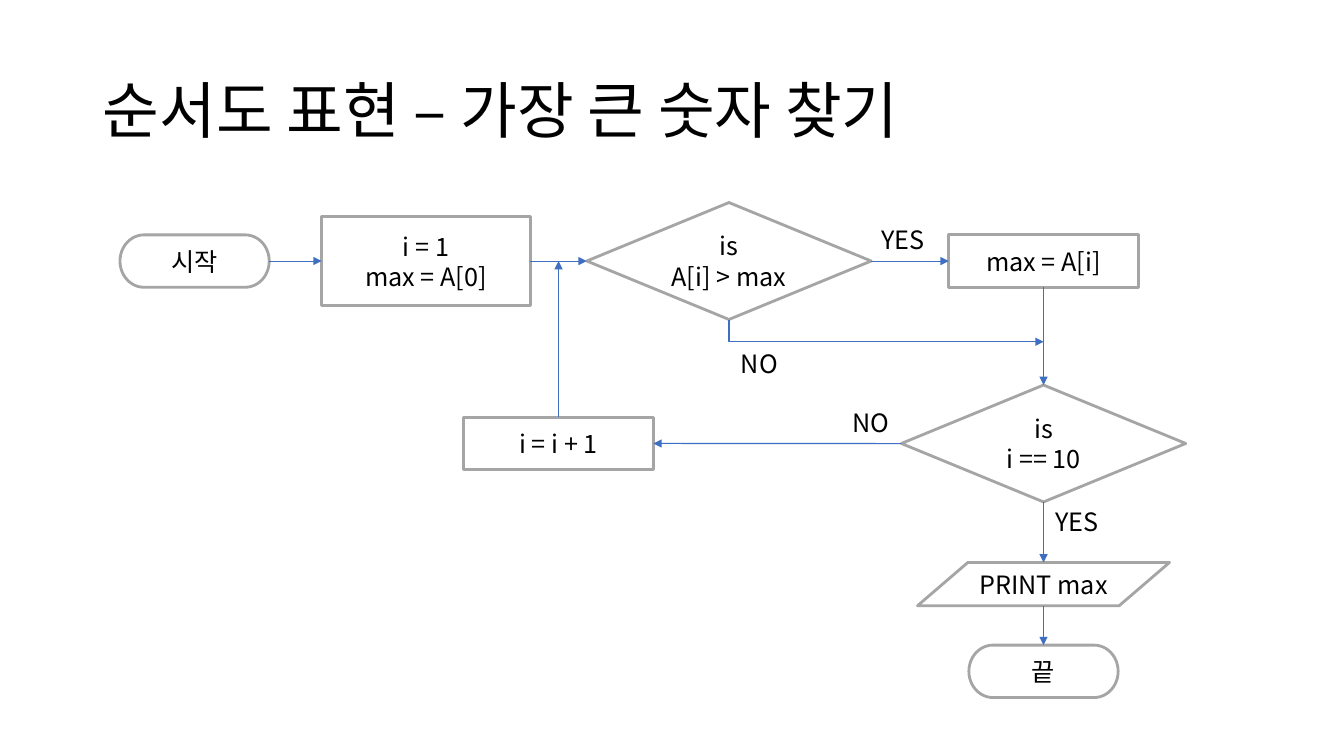
"""Build a flowchart slide for finding the largest number in a list."""
from dataclasses import dataclass

from lxml import etree
from pptx import Presentation
from pptx.dml.color import RGBColor
from pptx.enum.shapes import MSO_CONNECTOR, MSO_SHAPE
from pptx.enum.text import MSO_ANCHOR, PP_ALIGN
from pptx.oxml.ns import qn
from pptx.shapes.autoshape import Shape
from pptx.shapes.connector import Connector
from pptx.slide import Slide
from pptx.util import Inches, Pt

TERMINATOR = MSO_SHAPE.FLOWCHART_TERMINATOR
PROCESS = MSO_SHAPE.FLOWCHART_PROCESS
DECISION = MSO_SHAPE.FLOWCHART_DECISION
DATA = MSO_SHAPE.FLOWCHART_DATA
STRAIGHT, ELBOW = MSO_CONNECTOR.STRAIGHT, MSO_CONNECTOR.ELBOW
MIDDLE, CENTER = MSO_ANCHOR.MIDDLE, PP_ALIGN.CENTER
TOP, LEFT, BOTTOM, RIGHT = range(4)

FONT = "Noto Sans CJK KR"
BLACK, WHITE, GREY, BLUE = "000000", "FFFFFF", "A5A5A5", "3F6FC3"
SIZES = {TERMINATOR: (1.48, 0.52), DECISION: (2.82, 1.16), DATA: (2.5, 0.43)}
SMALL_PROCESS = (1.88, 0.52)
LABEL_SIZE = (0.7, 0.4)


@dataclass
class Node:
    name: str
    kind: MSO_SHAPE
    left: float
    top: float
    size: tuple[float, float]
    text: str


@dataclass
class Arrow:
    start: str
    start_side: int
    end: str
    end_side: int


@dataclass
class Label:
    text: str
    left: float
    top: float


NODES = [
    Node("start", TERMINATOR, 1.19, 2.33, SIZES[TERMINATOR], "시작"),
    Node("init", PROCESS, 3.19, 2.15, (2.07, 0.88), "i = 1\nmax = A[0]"),
    Node("compare", DECISION, 5.82, 2.01, SIZES[DECISION], "is\nA[i] > max"),
    Node("update", PROCESS, 9.41, 2.33, SMALL_PROCESS, "max = A[i]"),
    Node("last", DECISION, 8.94, 3.82, SIZES[DECISION], "is\ni == 10"),
    Node("print", DATA, 9.1, 5.58, SIZES[DATA], "PRINT max"),
    Node("next", PROCESS, 4.6, 4.14, SMALL_PROCESS, "i = i + 1"),
    Node("end", TERMINATOR, 9.61, 6.4, SIZES[TERMINATOR], "끝"),
]
ARROWS = [
    Arrow("start", RIGHT, "init", LEFT),
    Arrow("init", RIGHT, "compare", LEFT),
    Arrow("compare", RIGHT, "update", LEFT),
    Arrow("update", BOTTOM, "last", TOP),
    Arrow("last", BOTTOM, "print", TOP),
    Arrow("last", LEFT, "next", RIGHT),
    Arrow("print", BOTTOM, "end", TOP),
]
LABELS = [
    Label("YES", 8.64, 2.18),
    Label("NO", 7.25, 3.41),
    Label("YES", 10.37, 4.97),
    Label("NO", 8.36, 3.99),
]


def color(value: str) -> RGBColor:
    return RGBColor.from_string(value)


def write(sp: Shape, text: str, size: float = 18) -> None:
    tf = sp.text_frame
    tf.text = text
    for p in tf.paragraphs:
        for r in p.runs:
            r.font.size = Pt(size)
            r.font.color.rgb = color(BLACK)
            r.font.name = FONT
            etree.SubElement(r.font._element, qn("a:ea"), typeface=FONT)


def add_title(s: Slide, text: str) -> None:
    sp = s.shapes.add_textbox(Inches(0.92), Inches(0.4), Inches(11.5), Inches(1.45))
    write(sp, text, 44)
    tf = sp.text_frame
    tf.word_wrap = True
    tf.vertical_anchor = MIDDLE
    tf.paragraphs[0].line_spacing = 0.9


def add_node(s: Slide, node: Node) -> Shape:
    box = (Inches(v) for v in (node.left, node.top, *node.size))
    sp = s.shapes.add_shape(node.kind, *box)
    sp.shadow.inherit = False
    sp.fill.solid()
    sp.fill.fore_color.rgb = color(WHITE)
    sp.line.color.rgb = color(GREY)
    sp.line.width = Pt(2)
    write(sp, node.text)
    sp.text_frame.vertical_anchor = MIDDLE
    for p in sp.text_frame.paragraphs:
        p.alignment = CENTER
    return sp


def add_label(s: Slide, label: Label) -> None:
    box = (Inches(v) for v in (label.left, label.top, *LABEL_SIZE))
    sp = s.shapes.add_textbox(*box)
    write(sp, label.text)
    sp.text_frame.word_wrap = True


def add_arrow(s: Slide, kind: MSO_CONNECTOR, x1: float = 0, y1: float = 0,
              x2: float = 0, y2: float = 0) -> Connector:
    cxn = s.shapes.add_connector(kind, Inches(x1), Inches(y1), Inches(x2), Inches(y2))
    cxn.line.color.rgb = color(BLUE)
    cxn.line.width = Pt(0.75)
    sp_pr = cxn._element.spPr
    etree.SubElement(sp_pr.find(qn("a:ln")), qn("a:tailEnd"), type="triangle")
    etree.SubElement(sp_pr, qn("a:effectLst"))
    return cxn


def add_down_right_arrow(s: Slide, x1: float, y1: float, x2: float, y2: float) -> None:
    mid_x, mid_y = (x1 + x2) / 2, (y1 + y2) / 2
    half_w, half_h = (y2 - y1) / 2, (x2 - x1) / 2
    cxn = add_arrow(s, ELBOW, mid_x + half_w, mid_y - half_h,
                    mid_x - half_w, mid_y + half_h)
    sp_pr = cxn._element.spPr
    sp_pr.find(qn("a:xfrm")).set("rot", "16200000")
    sp_pr.find(qn("a:prstGeom")).set("prst", "bentConnector2")


def main() -> None:
    prs = Presentation()
    prs.slide_width, prs.slide_height = Inches(13.33), Inches(7.5)
    s = prs.slides.add_slide(prs.slide_layouts[6])
    add_title(s, "순서도 표현 – 가장 큰 숫자 찾기")
    shapes = {node.name: add_node(s, node) for node in NODES}
    for arrow in ARROWS:
        cxn = add_arrow(s, STRAIGHT)
        cxn.begin_connect(shapes[arrow.start], arrow.start_side)
        cxn.end_connect(shapes[arrow.end], arrow.end_side)
    loop = add_arrow(s, STRAIGHT, 5.54, 4.14, 5.54, 2.59)
    loop.begin_connect(shapes["next"], TOP)
    add_down_right_arrow(s, 7.23, 3.17, 10.35, 3.39)
    for label in LABELS:
        add_label(s, label)
    prs.save("out.pptx")


if __name__ == "__main__":
    main()
